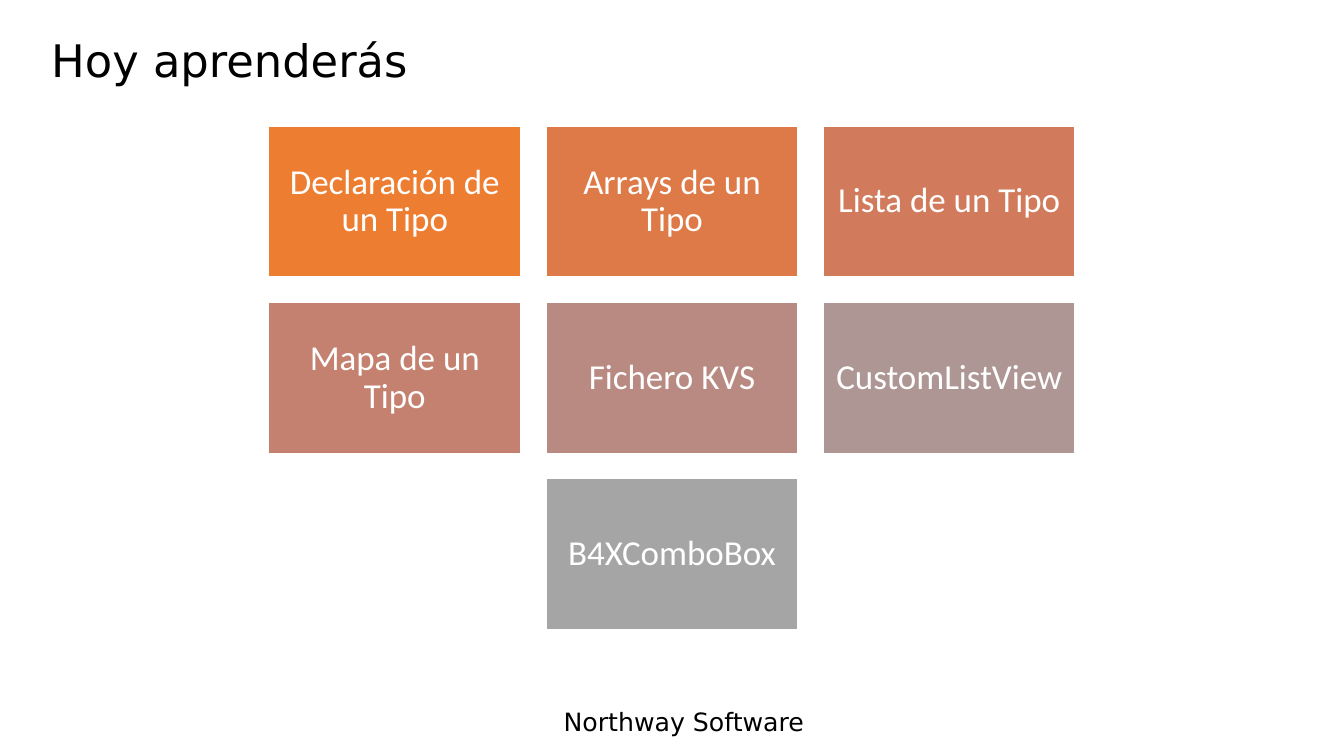
"""Build a slide that lists today's topics as a grid of coloured tiles."""
from pptx import Presentation
from pptx import util as u
from pptx.dml.color import RGBColor
from pptx.enum import shapes, text

BLACK = RGBColor(0x00, 0x00, 0x00)
WHITE = RGBColor(0xFF, 0xFF, 0xFF)
TOPICS = [
    ("Declaración de un Tipo", RGBColor(0xED, 0x7D, 0x31)),
    ("Arrays de un Tipo", RGBColor(0xDE, 0x7A, 0x47)),
    ("Lista de un Tipo", RGBColor(0xD1, 0x7B, 0x5C)),
    ("Mapa de un Tipo", RGBColor(0xC4, 0x81, 0x70)),
    ("Fichero KVS", RGBColor(0xB9, 0x8A, 0x82)),
    ("CustomListView", RGBColor(0xAE, 0x96, 0x94)),
    ("B4XComboBox", RGBColor(0xA5, 0xA5, 0xA5)),
]
COLUMNS = 3
GAP = 18


def style(para, font, size, color):
    """Set the font of a whole paragraph."""
    para.font.name = font
    para.font.size = u.Pt(size)
    para.font.color.rgb = color


def add_label(page, box, words, size, spacing=1.0):
    """Place a line of black text, centred vertically in its box."""
    frame = page.shapes.add_textbox(*map(u.Pt, box)).text_frame
    frame.word_wrap = True
    frame.vertical_anchor = text.MSO_ANCHOR.MIDDLE
    para = frame.paragraphs[0]
    para.text = words
    para.line_spacing = spacing
    style(para, "DejaVu Sans", size, BLACK)


def add_tile(page, box, words, color):
    """Place one coloured tile with its topic."""
    tile = page.shapes.add_shape(shapes.MSO_SHAPE.RECTANGLE, *map(u.Pt, box))
    tile.shadow.inherit = False
    tile.fill.solid()
    tile.fill.fore_color.rgb = color
    tile.line.color.rgb = WHITE
    tile.line.width = u.Pt(1)
    frame = tile.text_frame
    frame.word_wrap = True
    frame.vertical_anchor = text.MSO_ANCHOR.MIDDLE
    frame.margin_top = frame.margin_bottom = u.Pt(7.2)
    para = frame.paragraphs[0]
    para.text = words
    para.alignment = text.PP_ALIGN.CENTER
    para.line_spacing = 0.9
    style(para, "Calibri", 25, WHITE)


def add_topic_grid(page, box):
    """Fill the box with rows of tiles, centring a short last row."""
    left, top, width, height = box
    rows = -(-len(TOPICS) // COLUMNS)
    tile_width = (width - GAP * (COLUMNS - 1)) / COLUMNS
    tile_height = (height - GAP * (rows - 1)) / rows
    for row in range(rows):
        topics = TOPICS[row * COLUMNS:(row + 1) * COLUMNS]
        indent = (COLUMNS - len(topics)) * (tile_width + GAP) / 2
        for column, (words, color) in enumerate(topics):
            tile_box = (left + indent + column * (tile_width + GAP),
                        top + row * (tile_height + GAP),
                        tile_width, tile_height)
            add_tile(page, tile_box, words, color)


def main():
    """Build and save the deck."""
    deck = Presentation()
    deck.slide_width, deck.slide_height = u.Pt(960), u.Pt(540)
    page = deck.slides.add_slide(deck.slide_layouts[6])
    add_label(page, (395.5, 500.5, 209, 29), "Northway Software", 18)
    add_label(page, (29.5, 10.8, 864.7, 68.4), "Hoy aprenderás", 32, 0.9)
    add_topic_grid(page, (192, 90, 576, 360))
    deck.save("out.pptx")


if __name__ == "__main__":
    main()
